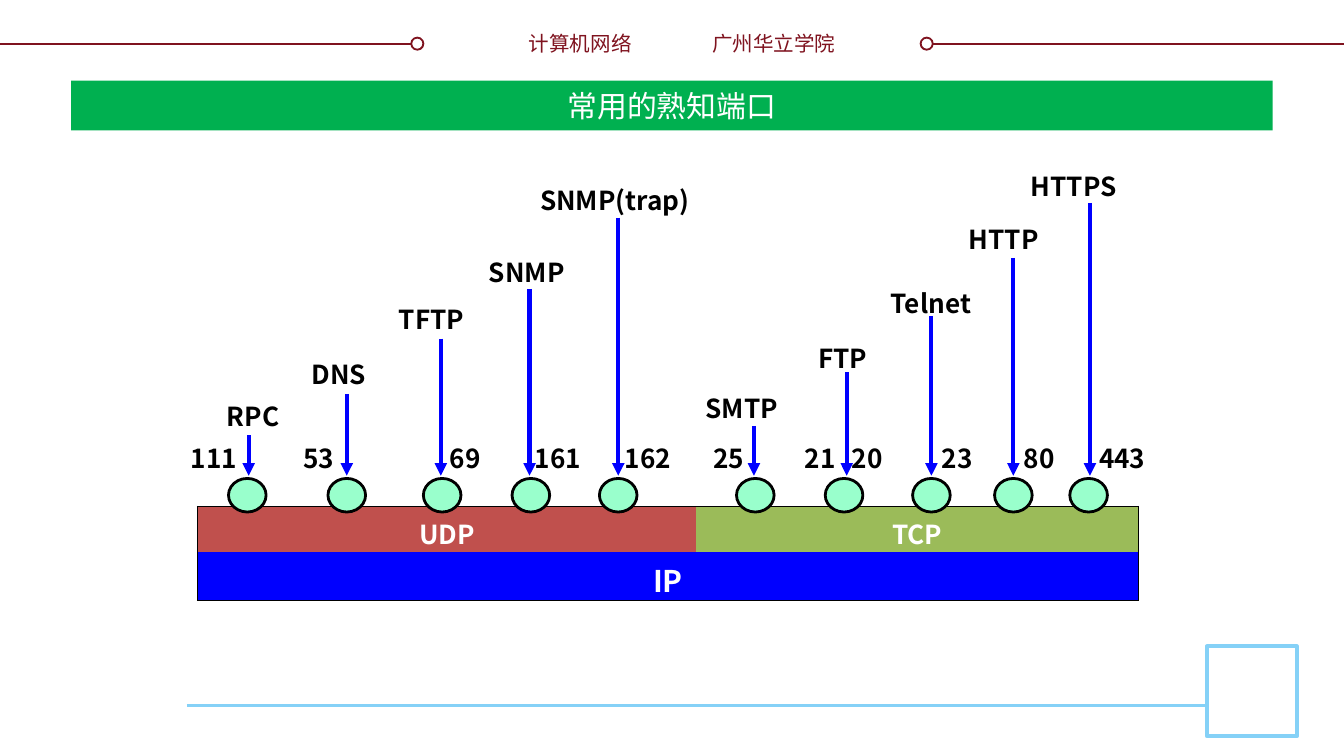
from lxml.etree import SubElement
from pptx import Presentation
from pptx.dml.color import RGBColor
from pptx.enum.shapes import MSO_CONNECTOR, MSO_SHAPE
from pptx.enum.text import MSO_ANCHOR, PP_ALIGN
from pptx.oxml.ns import qn
from pptx.util import Inches, Pt

SANS = "Noto Sans CJK SC"
RED, SKY, BLUE, BLACK, WHITE = "7F131F", "85D1F7", "0000FF", "000000", "FFFFFF"

SERVICES = [
    dict(name="RPC", at=(0.12, 1.71, 0.88), arrow=(0.38, 2.02), dot=0.23, port=("111", -0.15, 0.66)),
    dict(name="DNS", at=(0.75, 1.4, 1.06), arrow=(1.11, 1.71), dot=0.97, port=("53", 0.69, 0.9)),
    dict(name="TFTP", at=(1.4, 0.99, 1.33), arrow=(1.81, 1.3), dot=1.68, port=("69", 1.78, 0.74)),
    dict(name="SNMP", at=(2.07, 0.64, 1.24), arrow=(2.47, 0.93), dot=2.34, port=("161", 2.41, 0.66)),
    dict(name="SNMP(trap)", at=(2.45, 0.1, 1.74), arrow=(3.13, 0.4), dot=2.99, port=("162", 3.08, 0.66)),
    dict(name="SMTP", at=(3.68, 1.65, 1.15), arrow=(4.14, 1.95), dot=4.01, port=("25", 3.74, 0.74)),
    dict(name="FTP", at=(4.52, 1.28, 1.06), arrow=(4.83, 1.55), dot=4.67, port=("21\t20", 4.42, 0.92)),
    dict(name="Telnet", at=(5.06, 0.87, 1.24), arrow=(5.46, 1.13), dot=5.32, port=("23", 5.44, 0.74)),
    dict(name="HTTP", at=(5.64, 0.39, 1.24), arrow=(6.07, 0.7), dot=5.93, port=("80", 6.05, 0.74)),
    dict(name="HTTPS", at=(6.1, 0, 1.24), arrow=(6.64, 0.29), dot=6.49, port=("443", 6.61, 0.74)),
]


def color(value):
    """Turn a hex string into a colour."""
    return RGBColor.from_string(value)


def write(tf, text, size=14, font=SANS, fill=BLACK, bold=False, align=PP_ALIGN.LEFT, tab=None):
    """Write one formatted paragraph into a text frame."""
    p = tf.paragraphs[0]
    p.alignment = align
    if tab:
        tabs = SubElement(p._p.get_or_add_pPr(), qn("a:tabLst"))
        SubElement(tabs, qn("a:tab"), pos=str(Inches(tab)), algn="l")
    r = p.add_run()
    r.text = text
    r.font.size, r.font.name, r.font.bold = Pt(size), font, bold
    r.font.color.rgb = color(fill)
    SubElement(r.font._element, qn("a:ea"), typeface=font)


def label(s, x, y, w, h, text, wrap=True, **fmt):
    """Add a text box."""
    tf = s.shapes.add_textbox(Inches(x), Inches(y), Inches(w), Inches(h)).text_frame
    tf.word_wrap = wrap
    write(tf, text, **fmt)


def shape(s, kind, x, y, w, h, fill, line=None, width=1):
    """Add a filled preset shape with an optional outline."""
    sp = s.shapes.add_shape(kind, Inches(x), Inches(y), Inches(w), Inches(h))
    sp.shadow.inherit = False
    sp.fill.solid()
    sp.fill.fore_color.rgb = color(fill)
    if line:
        sp.line.color.rgb = color(line)
        sp.line.width = Pt(width)
    else:
        sp.line.fill.background()
    return sp


def line(s, x1, y1, x2, y2, stroke, width, arrow=False):
    """Add a straight line, with an arrowhead at its end if asked."""
    cx = s.shapes.add_connector(
        MSO_CONNECTOR.STRAIGHT, Inches(x1), Inches(y1), Inches(x2), Inches(y2))
    cx.line.color.rgb = color(stroke)
    cx.line.width = Pt(width)
    sp_pr = cx._element.spPr
    if arrow:
        SubElement(sp_pr.find(qn("a:ln")), qn("a:tailEnd"), type="triangle")
    SubElement(sp_pr, qn("a:effectLst"))


def header(s, x, y, w, h):
    """Place the course and school names between two ringed lines."""
    mid, ring, reach = y + h / 2, 0.09, 3.15
    for start, end, ring_x in ((x, x + reach, x + reach - ring),
                               (x + w - reach, x + w, x + w - reach)):
        line(s, start, mid, end, mid, RED, 1)
        shape(s, MSO_SHAPE.OVAL, ring_x, mid - ring / 2, ring, ring, WHITE, RED)
    label(s, x + 3.83, y, 0.97, h, "计算机网络", wrap=False,
          size=11, fill=RED, align=PP_ALIGN.RIGHT)
    label(s, x + 5.2, y, 1.16, h, "广州华立学院", size=11, fill=RED)


def title(s, x, y, w, h):
    """Place the title bar."""
    sp = shape(s, MSO_SHAPE.RECTANGLE, x, y, w, h, "00B050")
    sp.text_frame.vertical_anchor = MSO_ANCHOR.MIDDLE
    write(sp.text_frame, "常用的熟知端口", size=16, font="Montserrat",
          fill=WHITE, align=PP_ALIGN.CENTER)


def footer(s, x, y, w, h):
    """Place the rule that runs into an empty square."""
    line(s, x, y + 0.44, x + w - h, y + 0.44, SKY, 1.5)
    shape(s, MSO_SHAPE.RECTANGLE, x + w - h, y, h, h, WHITE, SKY, 2)


def format_cell(cell, fill, sides, text=None, size=14):
    """Fill a table cell, write its text and draw the named sides."""
    cell.margin_top = cell.margin_bottom = 0
    cell.vertical_anchor = MSO_ANCHOR.BOTTOM
    if text:
        write(cell.text_frame, text, size=size, fill=WHITE, bold=True, align=PP_ALIGN.CENTER)
    tc_pr = cell._tc.get_or_add_tcPr()
    for side in "LRTB":
        ln = SubElement(tc_pr, qn(f"a:ln{side}"), w=str(Pt(1)))
        if side in sides:
            solid = SubElement(ln, qn("a:solidFill"))
            SubElement(solid, qn("a:srgbClr"), val=BLACK)
        else:
            SubElement(ln, qn("a:noFill"))
    cell.fill.solid()
    cell.fill.fore_color.rgb = color(fill)


def layers(s, x, y, w, h):
    """Place the table of transport and network layers."""
    table = s.shapes.add_table(2, 2, Inches(x), Inches(y), Inches(w), Inches(h)).table
    table.first_row = table.horz_banding = False
    for col, width in zip(table.columns, (3.71, w - 3.71)):
        col.width = Inches(width)
    for row, height in zip(table.rows, (0.34, h - 0.34)):
        row.height = Inches(height)
    table.cell(1, 0).merge(table.cell(1, 1))
    format_cell(table.cell(0, 0), "C0504D", "LT", "UDP")
    format_cell(table.cell(0, 1), "9BBB59", "TR", "TCP")
    format_cell(table.cell(1, 0), BLUE, "LRB", "IP", size=16)
    format_cell(table.cell(1, 1), BLUE, "RB")


def diagram(s, x, y, w, h):
    """Place the services, their ports and the layers below them."""
    layers(s, x, y + h - 0.7, w, 0.7)
    for service in SERVICES:
        left, top, width = service["at"]
        label(s, x + left, y + top, width, 0.34, service["name"], bold=True)
        shape(s, MSO_SHAPE.OVAL, x + service["dot"], y + 2.34, 0.28, 0.25, "99FFCC", BLACK, 1.5)
        mid, start = service["arrow"]
        line(s, x + mid, y + start, x + mid, y + 2.32, BLUE, 2.25, arrow=True)
        port, left, width = service["port"]
        label(s, x + left, y + 2.02, width, 0.34, port, bold=True,
              tab=0.35 if "\t" in port else None)


def main():
    """Build the slide and save it."""
    prs = Presentation()
    prs.slide_width, prs.slide_height = Inches(10), Inches(5.625)
    s = prs.slides.add_slide(prs.slide_layouts[6])
    header(s, 0, 0.18, 10, 0.29)
    footer(s, 1.39, 4.81, 8.26, 0.67)
    diagram(s, 1.47, 1.22, 7, 3.25)
    title(s, 0.53, 0.6, 8.94, 0.37)
    prs.save("out.pptx")


if __name__ == "__main__":
    main()
